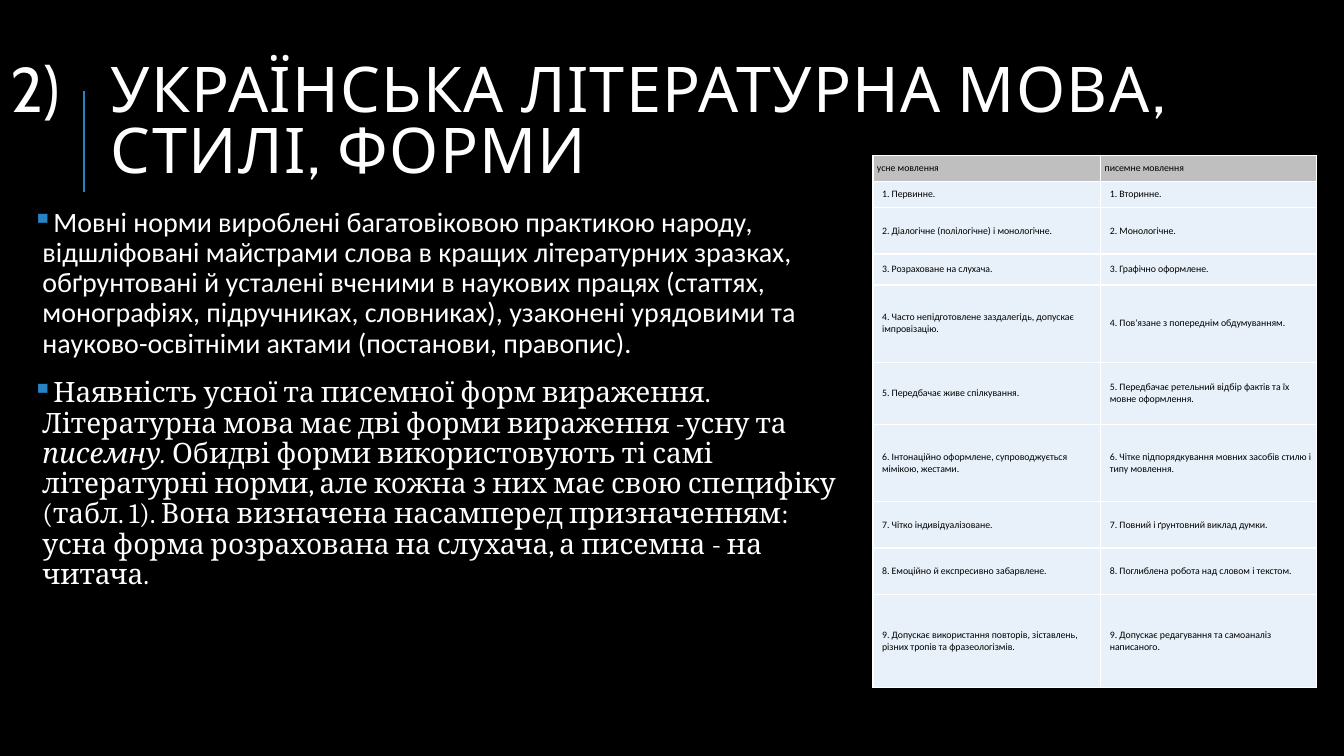
import dataclasses

import lxml.etree
import pptx
import pptx.dml.color
import pptx.enum.shapes
import pptx.enum.text
import pptx.oxml.ns
import pptx.util

Cm, Pt = pptx.util.Cm, pptx.util.Pt
qn = pptx.oxml.ns.qn


@dataclasses.dataclass(frozen=True)
class Theme:
    background: str = "000000"
    text: str = "FFFFFF"
    accent: str = "2683C6"
    header_fill: str = "BFBFBF"
    row_fill: str = "E8F1FA"
    table_text: str = "000000"
    grid: str = "FFFFFF"
    title_font: str = "Cabin"
    main_font: str = "Calibri"
    serif_font: str = "Cambria"
    title_size: float = 45
    body_size: float = 20
    table_size: float = 7


TITLE = "УКРАЇНСЬКА ЛІТЕРАТУРНА МОВА, СТИЛІ, ФОРМИ"

NORMS = (
    "Мовні норми вироблені багатовіковою практикою народу, відшліфовані майстрами слова "
    "в кращих літературних зразках, обґрунтовані й усталені вченими в наукових працях "
    "(статтях, монографіях, підручниках, словниках), узаконені урядовими та "
    "науково-освітніми актами (постанови, правопис)."
)
# Each run is a text and whether it is italic
FORMS = [
    ("Наявність усної та писемної форм вираження. Літературна мова має дві форми "
     "вираження -усну та ", False),
    ("писемну. ", True),
    ("Обидві форми використовують ті самі літературні норми, але кожна з них має свою "
     "специфіку (табл. 1). Вона визначена насамперед призначенням: усна форма розрахована "
     "на слухача, а писемна - на читача.", False),
]

# Row height in cm, spoken language, written language
SPEECH_ROWS = [
    (0.66, "усне мовлення", "писемне мовлення"),
    (0.66, "1. Первинне.", "1. Вторинне."),
    (1.17, "2. Діалогічне (полілогічне) і монологічне.", "2. Монологічне."),
    (0.78, "3. Розраховане на слухача.", "3. Графічно оформлене."),
    (1.95, "4. Часто непідготовлене заздалегідь, допускає імпровізацію.",
     "4. Пов'язане з попереднім обдумуванням."),
    (1.56, "5. Передбачає живе спілкування.",
     "5. Передбачає ретельний відбір фактів та їх мовне оформлення."),
    (1.95, "6. Інтонаційно оформлене, супроводжується мімікою, жестами.",
     "6. Чітке підпорядкування мовних засобів стилю і типу мовлення."),
    (1.17, "7. Чітко індивідуалізоване.", "7. Повний і ґрунтовний виклад думки."),
    (1.17, "8. Емоційно й експресивно забарвлене.",
     "8. Поглиблена робота над словом і текстом."),
    (2.34, "9. Допускає використання повторів, зіставлень, різних тропів та фразеологізмів.",
     "9. Допускає редагування та самоаналіз написаного."),
]


def rgb(color):
    return pptx.dml.color.RGBColor.from_string(color)


def add_xml(parent, tag, **attributes):
    return lxml.etree.SubElement(parent, qn(tag), attributes)


class SlideBuilder:
    def __init__(self, deck, theme):
        self.theme = theme
        self.slide = deck.slides.add_slide(deck.slide_layouts[5])
        fill = self.slide.background.fill
        fill.solid()
        fill.fore_color.rgb = rgb(theme.background)

    def set_font(self, paragraph, name, size, color):
        font = paragraph.font
        font.name, font.size, font.color.rgb = name, Pt(size), rgb(color)
        return font

    def hang(self, paragraph, indent):
        properties = paragraph._p.get_or_add_pPr()
        properties.set("marL", str(Cm(indent)))
        properties.set("indent", str(-Cm(indent)))
        return properties

    def title(self, text, number, left, top, width, height):
        heading = self.slide.shapes.title
        heading.left, heading.top, heading.width, heading.height = map(
            Cm, (left, top, width, height))
        frame = heading.text_frame
        frame.text = text
        frame.word_wrap = True
        frame.auto_size = pptx.enum.text.MSO_AUTO_SIZE.NONE
        frame.vertical_anchor = pptx.enum.text.MSO_ANCHOR.MIDDLE
        paragraph = frame.paragraphs[0]
        paragraph.alignment = pptx.enum.text.PP_ALIGN.LEFT
        paragraph.line_spacing = 0.8
        add_xml(self.hang(paragraph, 2.54), "a:buAutoNum",
                type="arabicParenR", startAt=str(number))
        font = self.set_font(paragraph, self.theme.title_font, self.theme.title_size,
                             self.theme.text)
        font._element.set("spc", "100")

    def line(self, x1, y1, x2, y2):
        rule = self.slide.shapes.add_connector(
            pptx.enum.shapes.MSO_CONNECTOR.STRAIGHT, Cm(x1), Cm(y1), Cm(x2), Cm(y2))
        rule.line.color.rgb = rgb(self.theme.accent)
        rule.line.width = Pt(1.5)
        add_xml(rule._element.spPr, "a:effectLst")

    def bullets(self, items, left, top, width, height):
        frame = self.slide.shapes.add_textbox(
            Cm(left), Cm(top), Cm(width), Cm(height)).text_frame
        frame.word_wrap = True
        frame.margin_left = frame.margin_right = Cm(0.13)
        frame.margin_top = frame.margin_bottom = Cm(0.13)
        for index, (font_name, runs) in enumerate(items):
            paragraph = frame.add_paragraph() if index else frame.paragraphs[0]
            for text, italic in runs:
                run = paragraph.add_run()
                run.text = text
                if italic:
                    run.font.italic = True
            paragraph.line_spacing = 0.9
            paragraph.space_before, paragraph.space_after = Pt(12), Pt(2)
            properties = self.hang(paragraph, 0.25)
            add_xml(add_xml(properties, "a:buClr"), "a:srgbClr", val=self.theme.accent)
            add_xml(properties, "a:buChar", char="▪")
            self.set_font(paragraph, font_name, self.theme.body_size, self.theme.text)

    def cell(self, cell, text, fill, left_margin, vertical_margin):
        cell.text = text
        cell.vertical_anchor = pptx.enum.text.MSO_ANCHOR.MIDDLE
        cell.margin_left, cell.margin_right = Cm(left_margin), 0
        cell.margin_top = cell.margin_bottom = Cm(vertical_margin)
        self.set_font(cell.text_frame.paragraphs[0], self.theme.main_font,
                      self.theme.table_size, self.theme.table_text)
        properties = cell._tc.get_or_add_tcPr()
        for side in ("a:lnL", "a:lnR", "a:lnT", "a:lnB"):
            border = add_xml(properties, side, w=str(Pt(1)))
            add_xml(add_xml(border, "a:solidFill"), "a:srgbClr", val=self.theme.grid)
        cell.fill.solid()
        cell.fill.fore_color.rgb = rgb(fill)

    def table(self, rows, column_widths, left, top):
        table = self.slide.shapes.add_table(
            len(rows), len(column_widths), Cm(left), Cm(top),
            Cm(sum(column_widths)), Cm(sum(row[0] for row in rows))).table
        for column, width in zip(table.columns, column_widths):
            column.width = Cm(width)
        for r, (height, *texts) in enumerate(rows):
            table.rows[r].height = Cm(height)
            fill = self.theme.row_fill if r else self.theme.header_fill
            for c, text in enumerate(texts):
                self.cell(table.cell(r, c), text, fill,
                          left_margin=0.23 if r else 0.1,
                          vertical_margin=0.13 if r < 2 else 0)


def main():
    deck = pptx.Presentation()
    deck.slide_width, deck.slide_height = Cm(33.87), Cm(19.05)
    theme = Theme()
    page = SlideBuilder(deck, theme)

    # Numbered heading with its vertical rule
    page.line(2.11, 4.83, 2.11, 2.29)
    page.title(TITLE, 2, left=0, top=2.08, width=33.17, height=2.13)

    # Language norms and forms
    page.bullets([(theme.main_font, [(NORMS, False)]), (theme.serif_font, FORMS)],
                 left=0.69, top=5.11, width=20.98, height=12.8)

    # Spoken and written language compared
    page.table(SPEECH_ROWS, [5.74, 5.44], left=22, top=3.91)

    deck.save("out.pptx")


if __name__ == "__main__":
    main()
